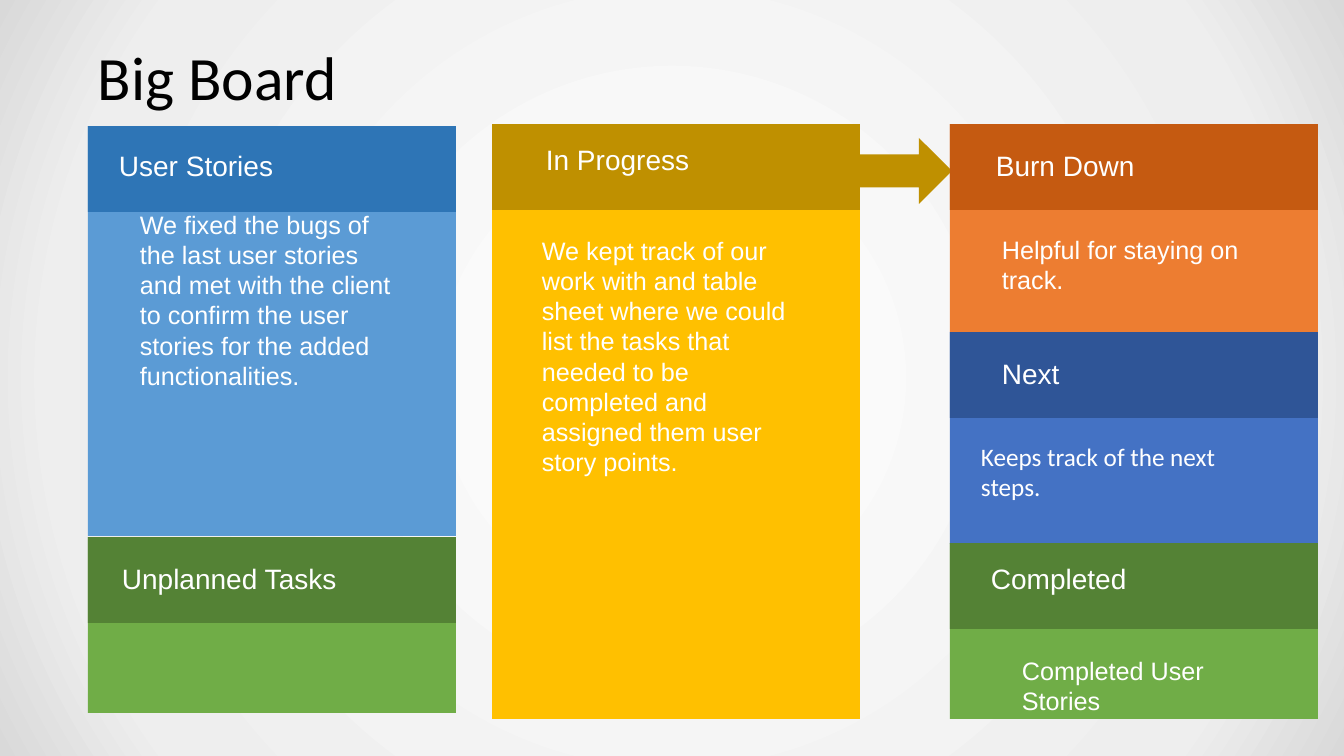
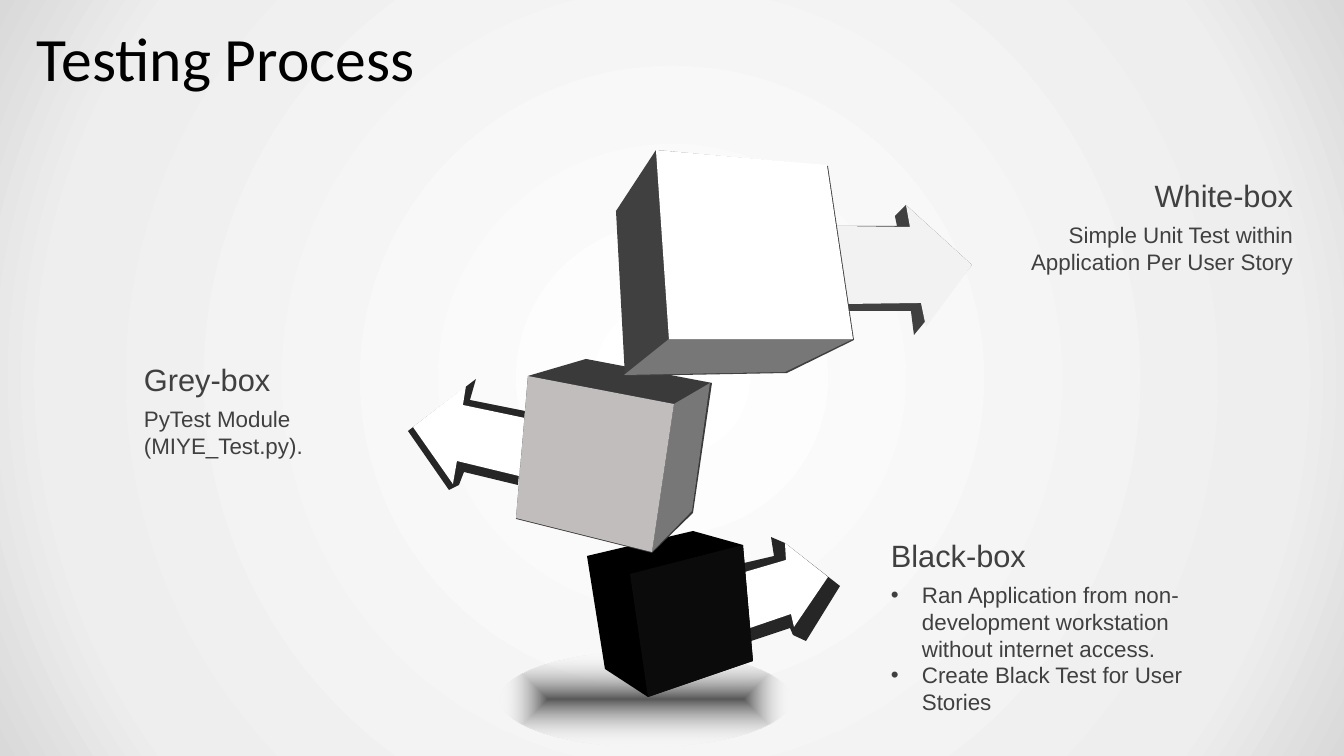
import dataclasses

import lxml.etree
import pptx
import pptx.dml.color
import pptx.enum.shapes
import pptx.enum.text
import pptx.oxml
import pptx.oxml.ns
import pptx.util

PX = 914400 / 100.8  # EMU in one px
ALIGN = pptx.enum.text.PP_ALIGN
ANCHOR = pptx.enum.text.MSO_ANCHOR
SHAPE = pptx.enum.shapes.MSO_SHAPE


@dataclasses.dataclass(frozen=True)
class Theme:
    """Colours, fonts and type sizes of the deck."""
    title_font: str = "Calibri"
    body_font: str = "Arial"
    title_size: int = 44
    label_size: int = 22
    heading_size: int = 20
    body_size: int = 18
    note_size: int = 16
    ink: str = "000000"
    gray: str = "404040"
    paper: str = "FFFFFF"
    blue: tuple = ("2E75B6", "5B9BD5")
    gold: tuple = ("BF9000", "FFC000")
    orange: tuple = ("C55A11", "ED7D31")
    navy: tuple = ("2F5597", "4472C4")
    green: tuple = ("548235", "70AD47")
    edge: str = "262626"
    mid: str = "777777"
    pale: str = "F2F2F2"
    grey_front: str = "C1BDBD"
    grey_top: str = "3A3A3A"
    black_front: str = "0B0B0B"
    # Gradient stops: position in percent, colour, opacity in percent
    backdrop: tuple = ((0, "FFFFFF", 100), (81, "EEEEEE", 100), (100, "D9D9D9", 100))
    ground: tuple = ((0, "595959", 100), (100, "FFFFFF", 0))


def px(value):
    return pptx.util.Emu(round(value * PX))


def rgb(color):
    return pptx.dml.color.RGBColor.from_string(color)


def centred_gradient(stops, path):
    """Gradient fill that spreads from the middle."""
    stop_xml = "".join(
        f'<a:gs pos="{position * 1000}"><a:srgbClr val="{color}">'
        f'<a:alpha val="{opacity * 1000}"/></a:srgbClr></a:gs>'
        for position, color, opacity in stops)
    return pptx.oxml.parse_xml(
        f'<a:gradFill {pptx.oxml.ns.nsdecls("a")} rotWithShape="1"><a:gsLst>{stop_xml}</a:gsLst>'
        f'<a:path path="{path}"><a:fillToRect l="50000" t="50000" r="50000" b="50000"/>'
        '</a:path></a:gradFill>')


def replace_gradient(fill, parent, stops, path):
    fill.gradient()
    plain = parent.find(pptx.oxml.ns.qn("a:gradFill"))
    parent.replace(plain, centred_gradient(stops, path))


class Deck:
    """Holds the theme, the presentation and the current slide."""

    def __init__(self, theme):
        self.theme = theme
        self.presentation = pptx.Presentation()
        self.presentation.slide_width = px(1344)
        self.presentation.slide_height = px(756)
        self.slide = None

    def new_slide(self, title, left, top, width, height):
        self.slide = self.presentation.slides.add_slide(self.presentation.slide_layouts[6])
        fill = self.slide.background.fill
        fill.solid()
        properties = self.slide.element.find(".//" + pptx.oxml.ns.qn("p:bgPr"))
        replace_gradient(fill, properties, self.theme.backdrop, "circle")
        box = self.text(title, left, top, width, height, self.theme.title_size,
                        self.theme.ink, font=self.theme.title_font)
        box.text_frame.vertical_anchor = ANCHOR.MIDDLE
        box.text_frame.paragraphs[0].line_spacing = 0.9

    def text(self, text, left, top, width, height, size, color,
             font=None, align=ALIGN.LEFT, bullets=False):
        box = self.slide.shapes.add_textbox(px(left), px(top), px(width), px(height))
        box.text_frame.word_wrap = True
        box.text_frame.text = text
        for paragraph in box.text_frame.paragraphs:
            paragraph.alignment = align
            if bullets:
                self.bullet(paragraph)
            for run in paragraph.runs:
                run.font.name = font or self.theme.body_font
                run.font.size = pptx.util.Pt(size)
                run.font.color.rgb = rgb(color)
        return box

    def bullet(self, paragraph, indent=31):
        properties = paragraph._p.get_or_add_pPr()
        properties.set("marL", str(px(indent)))
        properties.set("indent", str(-px(indent)))
        font = lxml.etree.SubElement(properties, pptx.oxml.ns.qn("a:buFont"))
        font.set("typeface", self.theme.body_font)
        lxml.etree.SubElement(properties, pptx.oxml.ns.qn("a:buChar")).set("char", "•")

    def paint(self, shape, color):
        shape.shadow.inherit = False
        shape.fill.solid()
        shape.fill.fore_color.rgb = rgb(color)
        shape.line.fill.background()
        return shape

    def shape(self, kind, left, top, width, height, color):
        shape = self.slide.shapes.add_shape(kind, px(left), px(top), px(width), px(height))
        return self.paint(shape, color)

    def solid(self, *faces):
        """Solid made of flat faces: its whole outline first, then the lit faces."""
        for color, points in faces:
            builder = self.slide.shapes.build_freeform(*points[0], scale=PX)
            builder.add_line_segments(points[1:], close=True)
            self.paint(builder.convert_to_shape(), color)

    def ground_shadow(self, left, top, width, height):
        oval = self.shape(SHAPE.OVAL, left, top, width, height, self.theme.paper)
        replace_gradient(oval.fill, oval.element.spPr, self.theme.ground, "shape")

    def card(self, left, top, height, colors, heading, heading_at,
             body=None, body_at=None, lines=1, body_width=285, font=None):
        heading_color, body_color = colors
        theme = self.theme
        self.shape(SHAPE.RECTANGLE, left, top, 368, height, body_color)
        self.shape(SHAPE.RECTANGLE, left, top, 368, 86, heading_color)
        if body:
            self.text(body, *body_at, body_width, 10 + 30 * lines,
                      theme.body_size, theme.paper, font)
        self.text(heading, *heading_at, 240, 44, theme.heading_size, theme.paper)

    def label(self, left, top, heading, body, body_height=65, align=ALIGN.LEFT, bullets=False):
        theme = self.theme
        self.text(body, left, top + 44, 325, body_height, theme.note_size,
                  theme.gray, align=align, bullets=bullets)
        self.text(heading, left, top, 325, 47, theme.label_size, theme.gray, align=align)


def big_board(deck):
    theme = deck.theme
    deck.new_slide("Big Board", 88, 8, 1159, 146)

    # Left and middle columns
    deck.card(88, 126, 410, theme.blue, "User Stories", (109, 144),
              body="We fixed the bugs of the last user stories and met with the client "
                   "to confirm the user stories for the added functionalities.",
              body_at=(130, 204), lines=6)
    deck.card(492, 124, 595, theme.gold, "In Progress", (536, 138),
              body="We kept track of our work with and table sheet where we could list the "
                   "tasks that needed to be completed and assigned them user story points.",
              body_at=(532, 230), lines=8)
    deck.shape(SHAPE.RIGHT_ARROW, 851, 138, 101, 66, theme.gold[0])
    deck.card(88, 537, 176, theme.green, "Unplanned Tasks", (112, 557))

    # Right column
    deck.card(950, 332, 212, theme.navy, "Next", (992, 352),
              body="Keeps track of the next steps.", body_at=(971, 436), lines=2,
              body_width=306, font=theme.title_font)
    deck.card(950, 124, 208, theme.orange, "Burn Down", (986, 144),
              body="Helpful for staying on track.", body_at=(992, 229), lines=2)
    deck.card(950, 543, 176, theme.green, "Completed", (981, 557),
              body="Completed User Stories", body_at=(1012, 650), lines=2)


def testing_process(deck):
    theme = deck.theme
    deck.new_slide("Testing Process", 27, 22, 1210, 79)
    deck.ground_shadow(501, 652, 290, 95)

    # Arrows of the black, grey and white boxes
    deck.solid(
        (theme.edge, [(744, 563), (774, 556), (771, 537), (785, 543), (840, 586),
                      (806, 641), (793, 635), (790, 628), (751, 641)]),
        (theme.paper, [(745, 572), (786, 560), (785, 543), (828, 577),
                       (794, 627), (791, 614), (750, 628)]))
    deck.solid(
        (theme.edge, [(525, 411), (470, 400), (476, 379), (408, 431),
                      (449, 490), (459, 485), (464, 472), (518, 485)]),
        (theme.paper, [(413, 427), (466, 386), (463, 405), (525, 418),
                       (519, 476), (457, 461), (453, 484)]))
    deck.solid(
        (theme.gray, [(837, 226), (897, 226), (895, 216), (906, 205),
                      (972, 265), (914, 335), (911, 311), (849, 311)]),
        (theme.pale, [(836, 226), (910, 227), (906, 205), (972, 265),
                      (926, 327), (921, 303), (848, 304)]))

    # Black, grey and white boxes
    deck.solid(
        (theme.ink, [(587, 556), (693, 531), (743, 545), (753, 661), (648, 697), (605, 669)]),
        (theme.black_front, [(630, 574), (743, 545), (753, 661), (648, 697)]))
    deck.solid(
        (theme.grey_top, [(528, 376), (586, 359), (712, 383), (693, 513), (652, 553), (516, 519)]),
        (theme.mid, [(674, 404), (710, 383), (692, 511), (652, 552)]),
        (theme.grey_front, [(528, 376), (674, 404), (652, 552), (516, 518)]))
    deck.solid(
        (theme.gray, [(656, 150), (828, 166), (854, 340), (787, 373), (625, 376), (616, 211)]),
        (theme.mid, [(669, 339), (853, 339), (785, 372), (624, 375)]),
        (theme.paper, [(656, 150), (827, 165), (853, 339), (669, 339)]))

    # Labels
    deck.label(881, 532, "Black-box",
               "Ran Application from non-development workstation without internet access.\n"
               "Create Black Test for User Stories", body_height=146, bullets=True)
    deck.label(134, 356, "Grey-box", "PyTest Module (MIYE_Test.py).")
    deck.label(978, 172, "White-box", "Simple Unit Test within Application Per User Story",
               align=ALIGN.RIGHT)


def main():
    deck = Deck(Theme())
    big_board(deck)
    testing_process(deck)
    deck.presentation.save("out.pptx")


if __name__ == "__main__":
    main()
